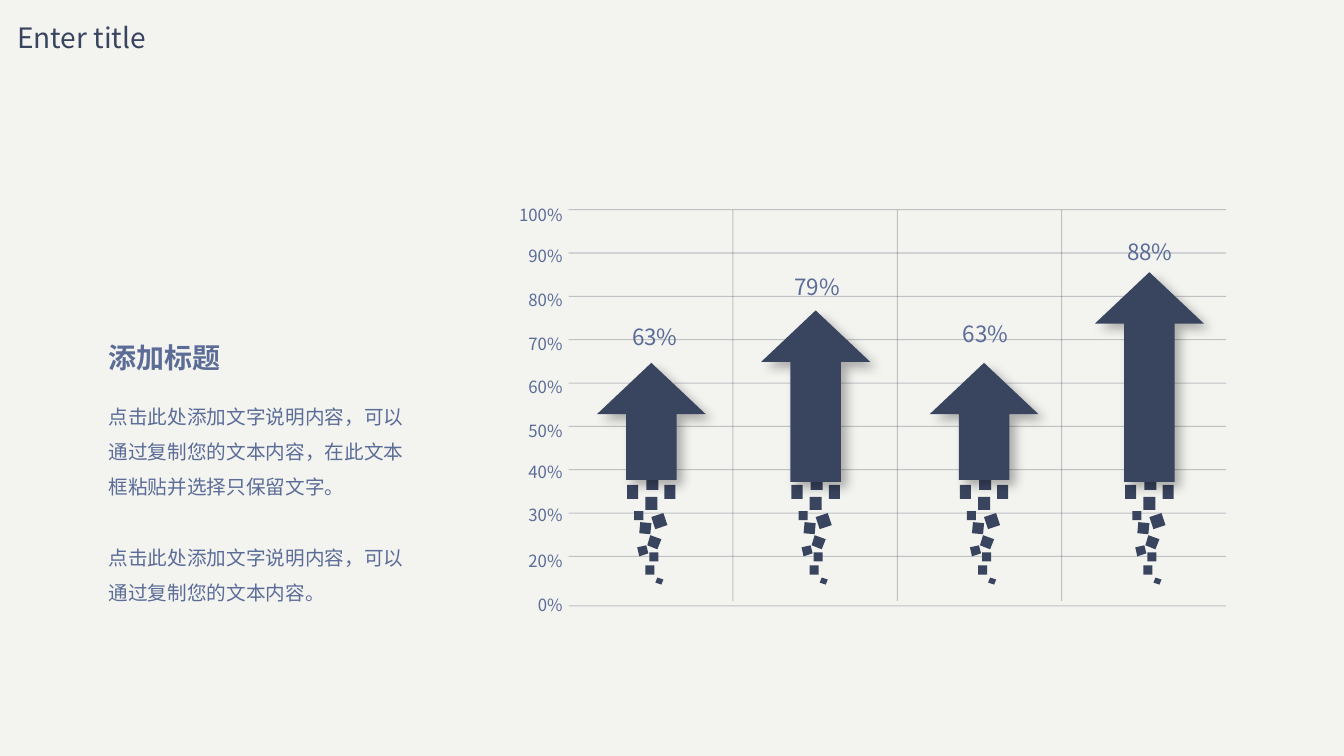
from lxml import etree
from pptx import Presentation
from pptx.dml.color import RGBColor
from pptx.enum.shapes import MSO_CONNECTOR, MSO_SHAPE
from pptx.enum.text import MSO_ANCHOR, MSO_AUTO_SIZE, PP_ALIGN
from pptx.oxml import parse_xml
from pptx.oxml.ns import nsdecls, qn
from pptx.util import Inches, Pt

FONT = "Noto Sans CJK SC"
COLORS = {"background": "F3F3F0", "text": "5B6C97", "arrow": "39445F",
          "grid": "273645", "shadow": "000000"}

TITLE = "Enter title"
HEADING = "添加标题"
DESCRIPTION = [
    "点击此处添加文字说明内容，可以通过复制您的文本内容，在此文本框粘贴并选择只保留文字。",
    "点击此处添加文字说明内容，可以通过复制您的文本内容。",
]
AXIS_LABELS = [("100%", 1.99), ("90%", 2.4), ("80%", 2.83), ("70%", 3.27),
               ("60%", 3.7), ("50%", 4.13), ("40%", 4.54), ("30%", 4.97),
               ("20%", 5.42), ("0%", 5.86)]
ARROWS = [
    {"value": "63%", "center": 6.46, "tip": 3.6, "base": 4.76, "label": (6.23, 3.17)},
    {"value": "79%", "center": 8.09, "tip": 3.08, "base": 4.78, "label": (7.84, 2.67)},
    {"value": "63%", "center": 9.76, "tip": 3.6, "base": 4.76, "label": (9.51, 3.14)},
    {"value": "88%", "center": 11.4, "tip": 2.7, "base": 4.78, "label": (11.14, 2.32)},
]
SQUARE_DEBRIS = [
    (-0.17, 5.07, 0.09, 0.09), (0.13, 4.81, 0.11, 0.14), (-0.24, 4.81, 0.11, 0.14),
    (-0.02, 5.48, 0.09, 0.09), (-0.06, 5.61, 0.09, 0.09), (-0.06, 4.93, 0.12, 0.13),
    (-0.05, 4.76, 0.12, 0.1),
]
TILTED_DEBRIS = [
    [(0.16, 5.21), (0.12, 5.09), (0, 5.13), (0.04, 5.25)],
    [(0.06, 5.45), (0.1, 5.35), (-0.01, 5.31), (-0.04, 5.41)],
    [(-0.01, 5.3), (0, 5.19), (-0.11, 5.18), (-0.12, 5.29)],
    [(-0.03, 5.49), (-0.05, 5.41), (-0.14, 5.43), (-0.12, 5.52)],
    [(0.1, 5.8), (0.12, 5.75), (0.06, 5.73), (0.04, 5.78)],
]
GRID_LEFT, GRID_RIGHT, GRID_TOP, GRID_BOTTOM = 5.64, 12.16, 2.08, 6.01
ROW_STEP, COLUMN_STEP, COLUMN_BOTTOM = 0.43, 1.63, 5.96
ARROW_WIDTH, SHAFT_WIDTH, HEAD_HEIGHT = 1.08, 0.5, 0.51


def color(name):
    return RGBColor.from_string(COLORS[name])


def write(box, lines, size, ink="text", bold=False, align=PP_ALIGN.LEFT,
          inset=None, wrap=False, spacing=None, gap=0):
    frame = box.text_frame
    frame.word_wrap = wrap
    frame.auto_size = MSO_AUTO_SIZE.NONE
    frame.vertical_anchor = MSO_ANCHOR.TOP
    if inset is not None:
        frame.margin_left = frame.margin_right = Inches(inset)
        frame.margin_top = frame.margin_bottom = Inches(inset)
    frame.text = "\n".join(lines)
    for index, paragraph in enumerate(frame.paragraphs):
        paragraph.alignment = align
        paragraph.space_before = Pt(gap if index else 0)
        if spacing:
            paragraph.line_spacing = spacing
        font = paragraph.font
        font.size, font.bold, font.name = Pt(size), bold, FONT
        font.color.rgb = color(ink)
        latin = paragraph._p.pPr.find(qn("a:defRPr")).find(qn("a:latin"))
        east_asian = etree.Element(qn("a:ea"), typeface=FONT)
        latin.addnext(east_asian)


def add_text(left, top, width, height, lines, size, **style):
    box = slide.shapes.add_textbox(Inches(left), Inches(top), Inches(width), Inches(height))
    write(box, lines, size, **style)


def add_grid_line(x1, y1, x2, y2):
    line = slide.shapes.add_connector(
        MSO_CONNECTOR.STRAIGHT, Inches(x1), Inches(y1), Inches(x2), Inches(y2))
    line.line.width = Pt(0.75)
    line.line.color.rgb = color("grid")
    tint = line._element.spPr.find(".//" + qn("a:srgbClr"))
    etree.SubElement(tint, qn("a:alpha"), val="25000")
    etree.SubElement(line._element.spPr, qn("a:effectLst"))


def paint(shape):
    shape.shadow.inherit = False
    shape.fill.solid()
    shape.fill.fore_color.rgb = color("arrow")
    shape.line.fill.background()


def add_debris(center):
    debris = slide.shapes.add_group_shape().shapes
    for offset, top, width, height in SQUARE_DEBRIS:
        paint(debris.add_shape(MSO_SHAPE.RECTANGLE, Inches(center + offset),
                               Inches(top), Inches(width), Inches(height)))
    for corners in TILTED_DEBRIS:
        points = [(Inches(center + x), Inches(y)) for x, y in corners]
        outline = debris.build_freeform(*points[0])
        outline.add_line_segments(points[1:], close=True)
        paint(outline.convert_to_shape())


def add_arrow(center, tip, base):
    arrow = slide.shapes.add_shape(
        MSO_SHAPE.UP_ARROW, Inches(center - ARROW_WIDTH / 2), Inches(tip),
        Inches(ARROW_WIDTH), Inches(base - tip))
    arrow.adjustments[0] = SHAFT_WIDTH / ARROW_WIDTH
    arrow.adjustments[1] = HEAD_HEIGHT / ARROW_WIDTH
    paint(arrow)
    arrow._element.spPr.find(qn("a:effectLst")).append(parse_xml(
        f'<a:outerShdw {nsdecls("a")} blurRad="{Pt(8)}" dist="{Pt(6)}" dir="2700000" '
        f'algn="tl" rotWithShape="0"><a:srgbClr val="{COLORS["shadow"]}">'
        '<a:alpha val="30000"/></a:srgbClr></a:outerShdw>'))


presentation = Presentation()
presentation.slide_width, presentation.slide_height = Inches(13.33), Inches(7.5)
slide = presentation.slides.add_slide(presentation.slide_layouts[5])
slide.background.fill.solid()
slide.background.fill.fore_color.rgb = color("background")

title = slide.shapes.title
title.left, title.top, title.width, title.height = map(Inches, (0.07, 0.15, 1.53, 0.44))
write(title, [TITLE], 20, ink="arrow")

add_text(0.98, 3.33, 1.35, 0.44, [HEADING], 20, bold=True)
add_text(0.98, 3.85, 3.19, 2.18, DESCRIPTION, 14, wrap=True, spacing=1.5, gap=25)

for row in range(9):
    y = GRID_TOP + row * ROW_STEP
    add_grid_line(GRID_LEFT, y, GRID_RIGHT, y)
add_grid_line(GRID_LEFT, GRID_BOTTOM, GRID_RIGHT, GRID_BOTTOM)
for column in range(1, 4):
    x = GRID_LEFT + column * COLUMN_STEP
    add_grid_line(x, GRID_TOP, x, COLUMN_BOTTOM)

for label, top in AXIS_LABELS:
    add_text(5.1, top, 0.52, 0.28, [label], 12, align=PP_ALIGN.RIGHT, inset=0.04)

for arrow in ARROWS:
    add_debris(arrow["center"])
    add_arrow(arrow["center"], arrow["tip"], arrow["base"])
    add_text(*arrow["label"], 0.54, 0.35, [arrow["value"]], 16, inset=0.04)

presentation.save("out.pptx")
